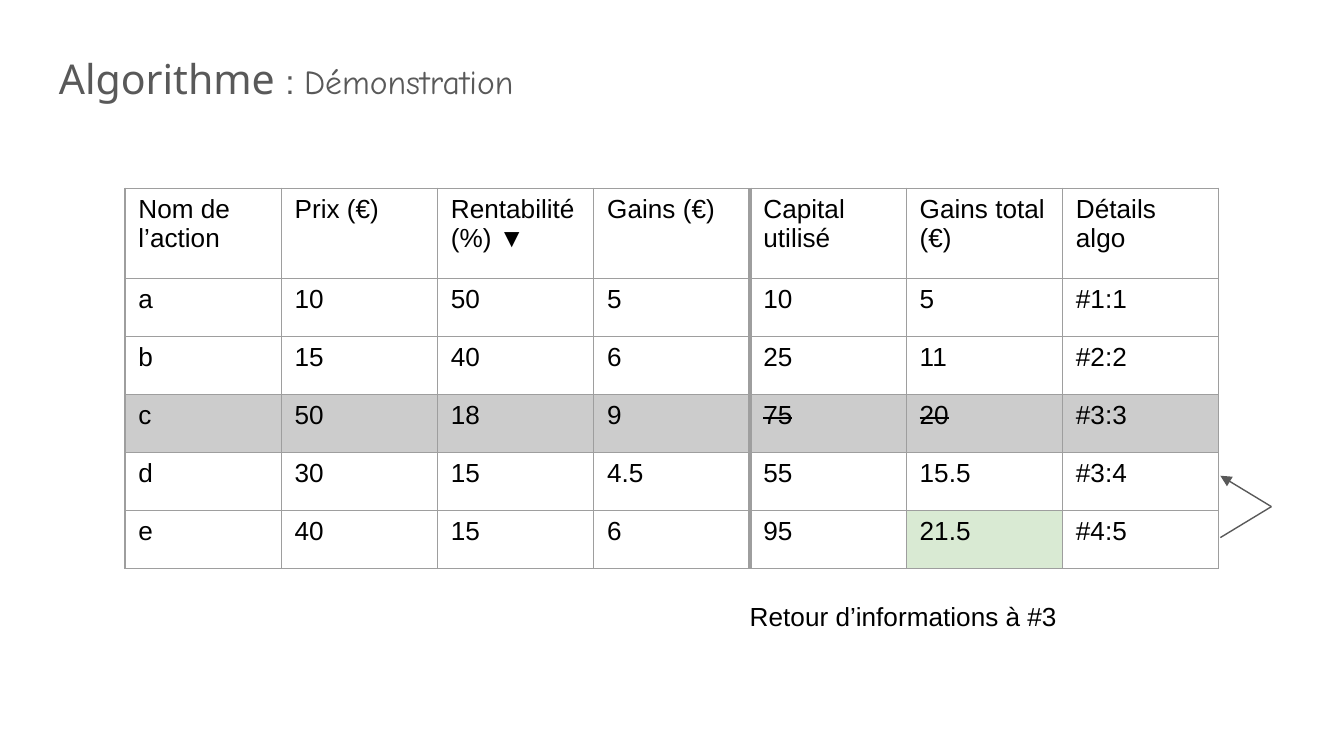
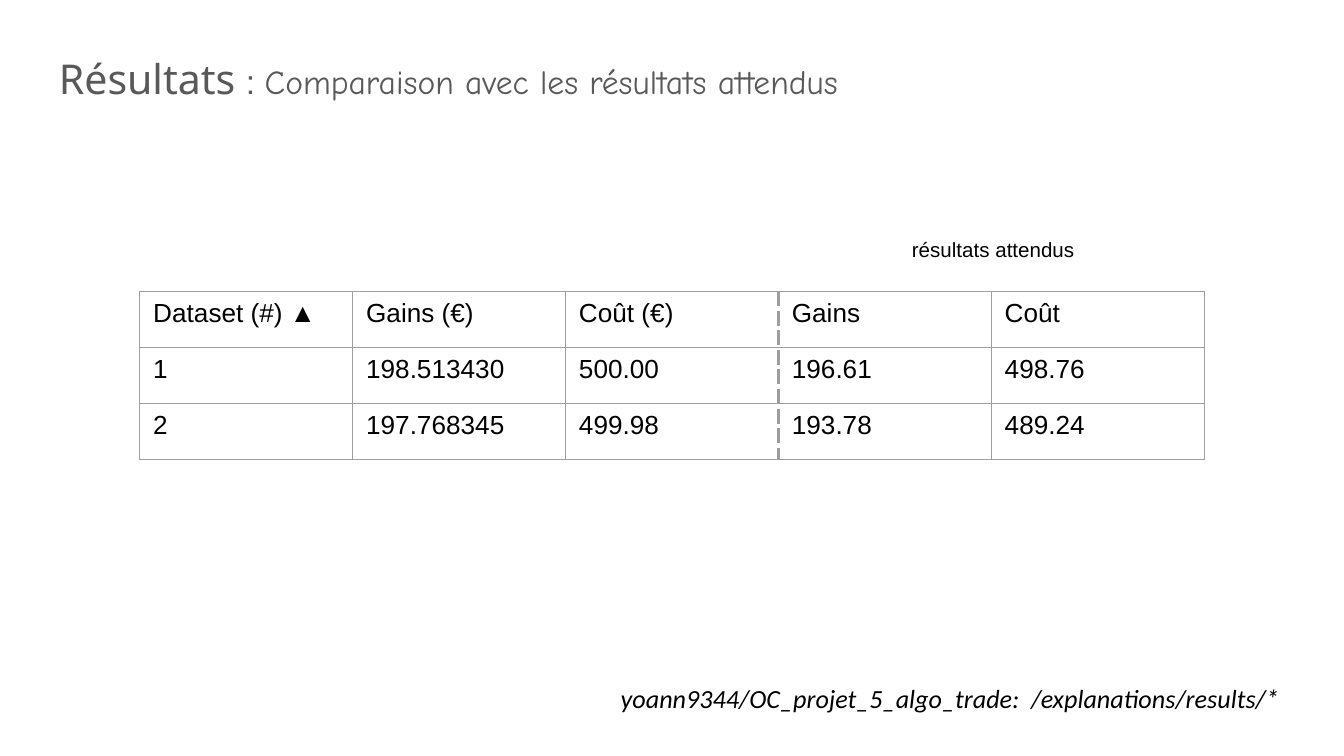
from lxml import etree
from pptx import Presentation
from pptx.dml.color import RGBColor as RGB
from pptx.enum.shapes import MSO_CONNECTOR as CONN
from pptx.enum.text import MSO_ANCHOR as ANCHOR, MSO_AUTO_SIZE as AUTOSIZE, PP_ALIGN as ALIGN
from pptx.oxml.ns import qn
from pptx.util import Inches, Pt

COLORS = {
    "text": "000000",
    "muted": "595959",
    "grid": "9E9E9E",
    "rejected": "CCCCCC",
    "best": "D9EAD3",
}
BODY = {"name": "Arial", "size": Pt(14)}
PATH = {"name": "Calibri", "size": Pt(14), "italic": True}
GRID_WIDTH = 0.75


class Deck:
    def __init__(self):
        self.prs = Presentation()
        self.prs.slide_width = Inches(10)
        self.prs.slide_height = Inches(10 * 9 / 16)
        self.s = None

    def slide(self, topic, subtitle):
        self.s = self.prs.slides.add_slide(self.prs.slide_layouts[6])
        p = self.box(0.34, 0.24, 9.32, 0.62, AUTOSIZE.NONE)
        p.line_spacing, p.space_after = 1.15, Pt(12)
        for text, name, size in ((f"{topic} ", "Noto Sans", 22),
                                 (": ", "Arial", 18),
                                 (subtitle, "Comic Neue", 18)):
            self.run(p, text, {"name": name, "size": Pt(size)}, "muted")

    def box(self, x, y, w, h, auto_size=AUTOSIZE.SHAPE_TO_FIT_TEXT):
        """Add an empty text box and return its first paragraph."""
        sp = self.s.shapes.add_textbox(Inches(x), Inches(y), Inches(w), Inches(h))
        tf = sp.text_frame
        tf.word_wrap, tf.auto_size = True, auto_size
        tf.vertical_anchor = ANCHOR.TOP
        for side in ("left", "top", "right", "bottom"):
            setattr(tf, f"margin_{side}", Inches(0.1))
        return tf.paragraphs[0]

    def run(self, p, text, fmt=BODY, color="text"):
        r = p.add_run()
        r.text = text
        for key, value in fmt.items():
            setattr(r.font, key, value)
        r.font.color.rgb = RGB.from_string(COLORS[color])
        return r

    def label(self, x, y, w, h, text, fmt=BODY, align=ALIGN.LEFT):
        p = self.box(x, y, w, h)
        p.alignment = align
        self.run(p, text, fmt)

    def border(self, cell, side, width=GRID_WIDTH, dash="solid"):
        ln = etree.SubElement(cell._tc.get_or_add_tcPr(), qn(f"a:ln{side}"),
                              w=str(Pt(width)))
        fill = etree.SubElement(ln, qn("a:solidFill"))
        etree.SubElement(fill, qn("a:srgbClr"), val=COLORS["grid"])
        etree.SubElement(ln, qn("a:prstDash"), val=dash)

    def table(self, x, y, w, heights, rows, divider, divider_style, fills=None, struck=()):
        """Add a grid whose line left of column `divider` has its own style."""
        fills = fills or {}
        n_cols = len(rows[0])
        frame = self.s.shapes.add_table(len(rows), n_cols, Inches(x), Inches(y),
                                        Inches(w), Inches(sum(heights)))
        tbl = frame.table
        tbl.first_row = tbl.horz_banding = False
        for col in tbl.columns:
            col.width = Inches(w / n_cols)
        for i, (row, height) in enumerate(zip(rows, heights)):
            tbl.rows[i].height = Inches(height)
            for j, text in enumerate(row):
                cell = tbl.cell(i, j)
                r = self.run(cell.text_frame.paragraphs[0], text)
                if (i, j) in struck:
                    r._r.get_or_add_rPr().set("strike", "sngStrike")
                for side, edge in (("L", j), ("R", j + 1), ("T", None), ("B", None)):
                    self.border(cell, side, **(divider_style if edge == divider else {}))
                if (i, j) in fills:
                    cell.fill.solid()
                    cell.fill.fore_color.rgb = RGB.from_string(COLORS[fills[i, j]])
                else:
                    cell.fill.background()

    def line(self, start, end, arrow=False):
        cxn = self.s.shapes.add_connector(CONN.STRAIGHT, *map(Inches, start + end))
        cxn.line.color.rgb = RGB.from_string(COLORS["muted"])
        cxn.line.width = Pt(0.75)
        if arrow:
            etree.SubElement(cxn.line._get_or_add_ln(), qn("a:tailEnd"), type="triangle")
        etree.SubElement(cxn._element.spPr, qn("a:effectLst"))


def demonstration(deck):
    deck.slide("Algorithme", "Démonstration")
    rows = [
        ("Nom de l’action", "Prix (€)", "Rentabilité (%) ▼", "Gains (€)",
         "Capital utilisé", "Gains total (€)", "Détails algo"),
        ("a", "10", "50", "5", "10", "5", "#1:1"),
        ("b", "15", "40", "6", "25", "11", "#2:2"),
        ("c", "50", "18", "9", "75", "20", "#3:3"),
        ("d", "30", "15", "4.5", "55", "15.5", "#3:4"),
        ("e", "40", "15", "6", "95", "21.5", "#4:5"),
    ]
    fills = {(3, j): "rejected" for j in range(len(rows[0]))}
    fills[5, 5] = "best"
    header, total = 0.67, 2.83
    deck.table(0.93, 1.4, 8.14, [header] + [(total - header) / 5] * 5, rows, divider=4,
               divider_style={"width": 2.21}, fills=fills, struck={(3, 4), (3, 5)})
    deck.label(5.48, 4.37, 3.92, 0.43, "Retour d’informations à #3")
    turn = (9.46, 3.77)
    deck.line(turn, (9.08, 3.54), arrow=True)
    deck.line((9.08, 4), turn)


def results(deck):
    deck.slide("Résultats", "Comparaison avec les résultats attendus")
    rows = [
        ("Dataset (#) ▲", "Gains (€)", "Coût (€)", "Gains", "Coût"),
        ("1", "198.513430", "500.00", "196.61", "498.76"),
        ("2", "197.768345", "499.98", "193.78", "489.24"),
    ]
    deck.table(1.04, 2.17, 7.92, [1.25 / 3] * 3, rows, divider=3,
               divider_style={"width": 1.47, "dash": "dash"})
    deck.label(6.23, 1.67, 2.32, 0.38, "résultats attendus",
               {**BODY, "size": Pt(11)}, ALIGN.CENTER)
    deck.label(4.52, 4.98, 5.15, 0.43,
               "yoann9344/OC_projet_5_algo_trade:  /explanations/results/*", PATH)


def main():
    deck = Deck()
    demonstration(deck)
    results(deck)
    deck.prs.save("out.pptx")


if __name__ == "__main__":
    main()
